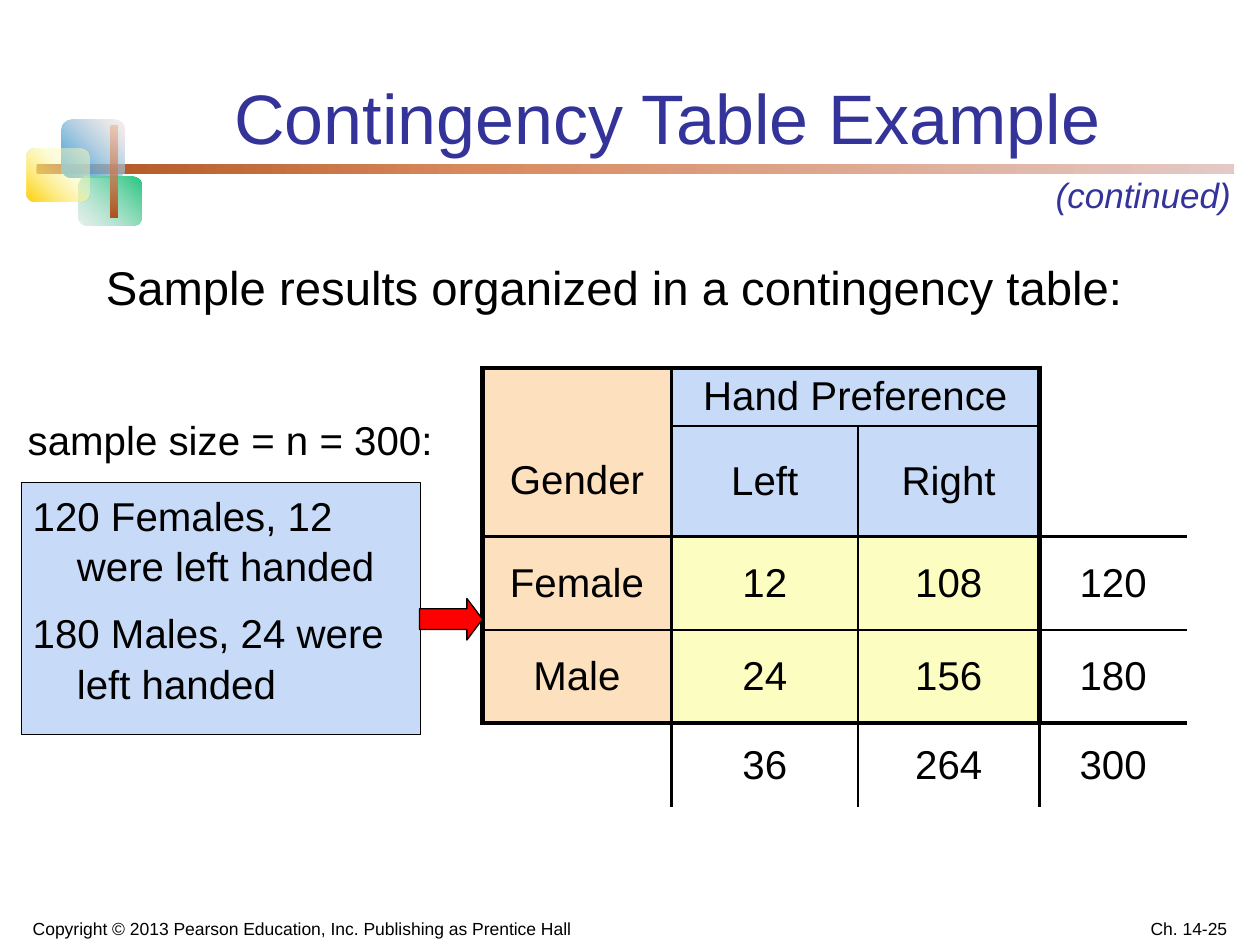
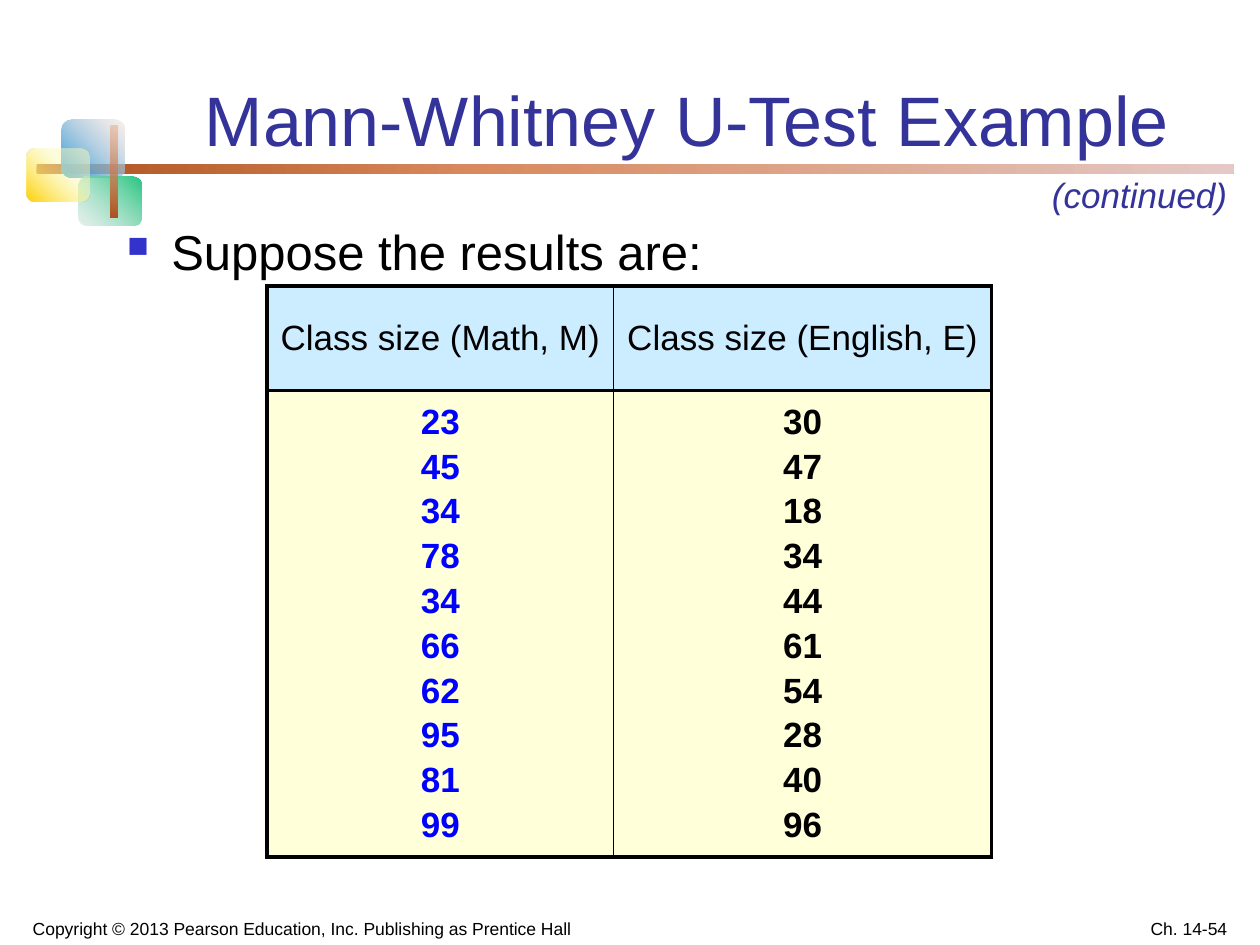
"""Build two statistics slides that share a title style, band and footer."""
import collections

import lxml.etree
import pptx
import pptx.dml.color
import pptx.enum.shapes
import pptx.enum.text
import pptx.oxml.ns
import pptx.util

Inches, Pt = pptx.util.Inches, pptx.util.Pt
Align, Anchor = pptx.enum.text.PP_ALIGN, pptx.enum.text.MSO_ANCHOR
Preset = pptx.enum.shapes.MSO_SHAPE
qn = pptx.oxml.ns.qn

FONT = "Arial"
BLACK, NAVY, BLUE, RED = "000000", "333399", "0000FF", "FF0000"
PEACH, SKY, LEMON, ICE, CREAM = "FDE0BD", "C7DAF7", "FBFEC0", "CCECFF", "FFFFD9"
PLAIN_TABLE = "{2D5ABB26-0587-4C30-8999-92F81FD0307C}"
COPYRIGHT = "Copyright © 2013 Pearson Education, Inc. Publishing as Prentice Hall"

EMBLEM = [
    ((0.29, 1.3, 9.5, 0.08), 0, [(0, "AE511E", 100), (37, "D88A5E", 100), (100, "E4C9C6", 100)]),
    ((0.49, 0.95, 0.5, 0.46), 315, [(0, "2895D8", 100), (100, "F7E2D9", 50)]),
    ((0.62, 1.4, 0.5, 0.39), 135, [(0, "25C580", 100), (100, "CCE2D9", 50)]),
    ((0.21, 1.18, 0.5, 0.42), 315, [(0, "FFCF01", 100), (63, "FCFCBC", 50)]),
    ((0.88, 1, 0.05, 0.73), 270, [(0, "AE511E", 100), (100, "EAA782", 50)]),
]

HAND_TABLE = dict(
    at=(3.83, 2.92),
    columns=[1.5, 1.48, 1.44, 1.17],
    heights=[0.45, 0.88, 0.74, 0.74, 0.67],
    size=23,
    rows=[
        ["Gender", "Hand Preference", "", ""],
        ["", "Left", "Right", ""],
        ["Female", "12", "108", "120"],
        ["Male", "24", "156", "180"],
        ["", "36", "264", "300"],
    ],
    fills=[
        [PEACH, SKY, SKY, None],
        [PEACH, SKY, SKY, None],
        [PEACH, LEMON, LEMON, None],
        [PEACH, LEMON, LEMON, None],
        [None] * 4,
    ],
    merges=[((0, 0), (1, 0)), ((0, 1), (0, 2)), ((0, 3), (1, 3))],
    rules=[
        ("column", 0, 0, 4, 3), ("column", 1, 0, 5, 2.25), ("column", 2, 1, 5, 1),
        ("column", 3, 0, 4, 3), ("column", 3, 4, 5, 2.25),
        ("row", 0, 0, 3, 3), ("row", 1, 1, 3, 1), ("row", 2, 0, 4, 2.25),
        ("row", 3, 0, 4, 1), ("row", 4, 0, 3, 3), ("row", 4, 3, 4, 2.25),
    ],
)
CLASS_TABLE = dict(
    at=(2.12, 2.27),
    columns=[2.75, 3],
    heights=[0.83, 3.7],
    size=20,
    rows=[
        ["Class size (Math, M)", "Class size (English, E)"],
        ["23 45 34 78 34 66 62 95 81 99", "30 47 18 34 44 61 54 28 40 96"],
    ],
    fills=[[ICE, ICE], [CREAM, CREAM]],
    merges=[],
    rules=[("column", 0, 0, 2, 2.25), ("column", 1, 0, 2, 1), ("column", 2, 0, 2, 2.25)]
    + [("row", edge, 0, 2, 2.25) for edge in range(3)],
)
HANDEDNESS = ["120 Females, 12 were left handed", "180 Males, 24 were left handed"]


def colour(code):
    return pptx.dml.color.RGBColor.from_string(code)


def place(shape, at):
    shape.left, shape.top, shape.width, shape.height = map(Inches, at)


def element(parent, tag, **attributes):
    return lxml.etree.SubElement(parent, qn(tag), {k: str(v) for k, v in attributes.items()})


def write(frame, lines, size, code=BLACK, align=Align.LEFT, bold=False, italic=False,
          gap=0, hanging=0, spacing=None, bullet=None):
    for number, line in enumerate(lines):
        para = frame.add_paragraph() if number else frame.paragraphs[0]
        para.alignment = align
        para.space_before = Pt(gap if number else 0)
        if spacing:
            para.line_spacing = spacing
        if hanging:
            properties = para._p.get_or_add_pPr()
            properties.set("marL", str(Inches(hanging)))
            properties.set("indent", str(-Inches(hanging)))
            if bullet:
                element(element(properties, "a:buClr"), "a:srgbClr", val=bullet)
                element(properties, "a:buSzPct", val=60000)
                element(properties, "a:buChar", char="■")
        span = para.add_run()
        span.text = line
        span.font.name, span.font.size = FONT, Pt(size)
        span.font.bold, span.font.italic = bold, italic
        span.font.color.rgb = colour(code)


def prepare(frame, anchor=Anchor.TOP, side=0.09):
    frame.word_wrap = True
    frame.auto_size = pptx.enum.text.MSO_AUTO_SIZE.NONE
    frame.vertical_anchor = anchor
    frame.margin_left = frame.margin_right = Inches(side)
    frame.margin_top = frame.margin_bottom = Inches(0.05)
    return frame


def add_text(page, at, line, size, anchor=Anchor.TOP, side=0.09, **style):
    box = page.shapes.add_textbox(*map(Inches, at))
    write(prepare(box.text_frame, anchor, side), [line], size, **style)


def add_panel(page, preset, at, fill):
    panel = page.shapes.add_shape(preset, *map(Inches, at))
    panel.shadow.inherit = False
    panel.fill.solid()
    panel.fill.fore_color.rgb = colour(fill)
    panel.line.color.rgb = colour(BLACK)
    panel.line.width = Pt(0.75)
    return panel


def add_emblem(page):
    for at, angle, stops in EMBLEM:
        tile = page.shapes.add_shape(Preset.ROUNDED_RECTANGLE, *map(Inches, at))
        tile.shadow.inherit = False
        tile.fill.gradient()
        tile.line.fill.background()
        gradient = tile._element.spPr.find(qn("a:gradFill"))
        del gradient[:]
        stop_list = element(gradient, "a:gsLst")
        for position, code, opacity in stops:
            stop = element(stop_list, "a:gs", pos=position * 1000)
            tint = element(stop, "a:srgbClr", val=code)
            if opacity < 100:
                element(tint, "a:alpha", val=opacity * 1000)
        element(gradient, "a:lin", ang=angle * 60000, scaled=0)


def add_page(deck, title, title_at, number, continued_at, spacing=None):
    page = deck.slides.add_slide(deck.slide_layouts[5])
    add_emblem(page)
    heading = page.shapes.title
    place(heading, title_at)
    write(prepare(heading.text_frame, Anchor.BOTTOM), [title], 40, NAVY, Align.CENTER,
          spacing=spacing)
    add_text(page, continued_at, "(continued)", 20, side=0.1, code=NAVY, italic=True)
    add_text(page, (0.17, 7.15, 5.33, 0.35), COPYRIGHT, 10, Anchor.BOTTOM)
    add_text(page, (7.5, 7.15, 2.33, 0.35), number, 10, Anchor.BOTTOM, align=Align.RIGHT)
    return page


def draw_rules(table, rules):
    borders = collections.defaultdict(dict)
    for axis, edge, start, stop, width in rules:
        for step in range(start, stop):
            if axis == "row":
                borders[edge - 1, step]["a:lnB"] = width
                borders[edge, step]["a:lnT"] = width
            else:
                borders[step, edge - 1]["a:lnR"] = width
                borders[step, edge]["a:lnL"] = width
    for row in range(len(table.rows)):
        for column in range(len(table.columns)):
            properties = table.cell(row, column)._tc.get_or_add_tcPr()
            for side in ("a:lnL", "a:lnR", "a:lnT", "a:lnB"):
                width = borders[row, column].get(side)
                if width:
                    line = element(properties, side, w=Pt(width))
                    element(element(line, "a:solidFill"), "a:srgbClr", val=BLACK)
                else:
                    element(element(properties, side, w=0), "a:noFill")


def add_grid(page, data):
    columns, heights = data["columns"], data["heights"]
    frame = page.shapes.add_table(len(heights), len(columns), *map(Inches, data["at"]),
                                  Inches(sum(columns)), Inches(sum(heights)))
    table = frame.table
    table.first_row = table.horz_banding = False
    table._tbl.tblPr.find(qn("a:tableStyleId")).text = PLAIN_TABLE
    for column, width in zip(table.columns, columns):
        column.width = Inches(width)
    for row, height in zip(table.rows, heights):
        row.height = Inches(height)
    draw_rules(table, data["rules"])
    for r, (texts, fills) in enumerate(zip(data["rows"], data["fills"])):
        for c, (text, fill) in enumerate(zip(texts, fills)):
            cell = table.cell(r, c)
            cell.vertical_anchor = Anchor.MIDDLE
            cell.margin_left = cell.margin_right = Inches(0.05)
            if fill:
                cell.fill.solid()
                cell.fill.fore_color.rgb = colour(fill)
            else:
                cell.fill.background()
            if text:
                scores = fill == CREAM
                write(cell.text_frame, text.split() if scores else [text], data["size"],
                      BLUE if scores and c == 0 else BLACK, Align.CENTER, bold=scores, gap=3.3)
    for first, last in data["merges"]:
        table.cell(*first).merge(table.cell(*last))
    return table


def build_contingency(deck):
    page = add_page(deck, "Contingency Table Example", (1.26, 0.23, 8.07, 1.08), "Ch. 14-25",
                    (8.28, 1.33, 1.67, 0.43))
    add_text(page, (0.75, 2, 8.67, 0.67), "Sample results organized in a contingency table:", 27)
    gender = add_grid(page, HAND_TABLE).cell(0, 0)
    gender.vertical_anchor = Anchor.BOTTOM
    gender.margin_bottom = Inches(0.27)
    add_text(page, (0.13, 3.25, 3.45, 0.58), "sample size = n = 300:", 23)
    panel = add_panel(page, Preset.RECTANGLE, (0.17, 3.83, 3.17, 2), SKY)
    write(prepare(panel.text_frame), HANDEDNESS, 23, gap=9.2, hanging=0.35, spacing=1.05)
    arrow = add_panel(page, Preset.RIGHT_ARROW, (3.33, 4.75, 0.5, 0.33), RED)
    arrow.adjustments[0], arrow.adjustments[1] = 0.5, 0.375


def build_class_sizes(deck):
    page = add_page(deck, "Mann-Whitney U-Test Example", (1.4, 0.34, 8.1, 0.98), "Ch. 14-54",
                    (8.25, 1.33, 1.61, 0.43), spacing=0.8)
    add_text(page, (0.92, 1.71, 4.83, 0.64), "Suppose the results are:", 28,
             hanging=0.35, bullet="3333CC")
    add_grid(page, CLASS_TABLE)


def main():
    deck = pptx.Presentation()
    deck.slide_width, deck.slide_height = Inches(10), Inches(7.5)
    build_contingency(deck)
    build_class_sizes(deck)
    deck.save("out.pptx")


if __name__ == "__main__":
    main()
